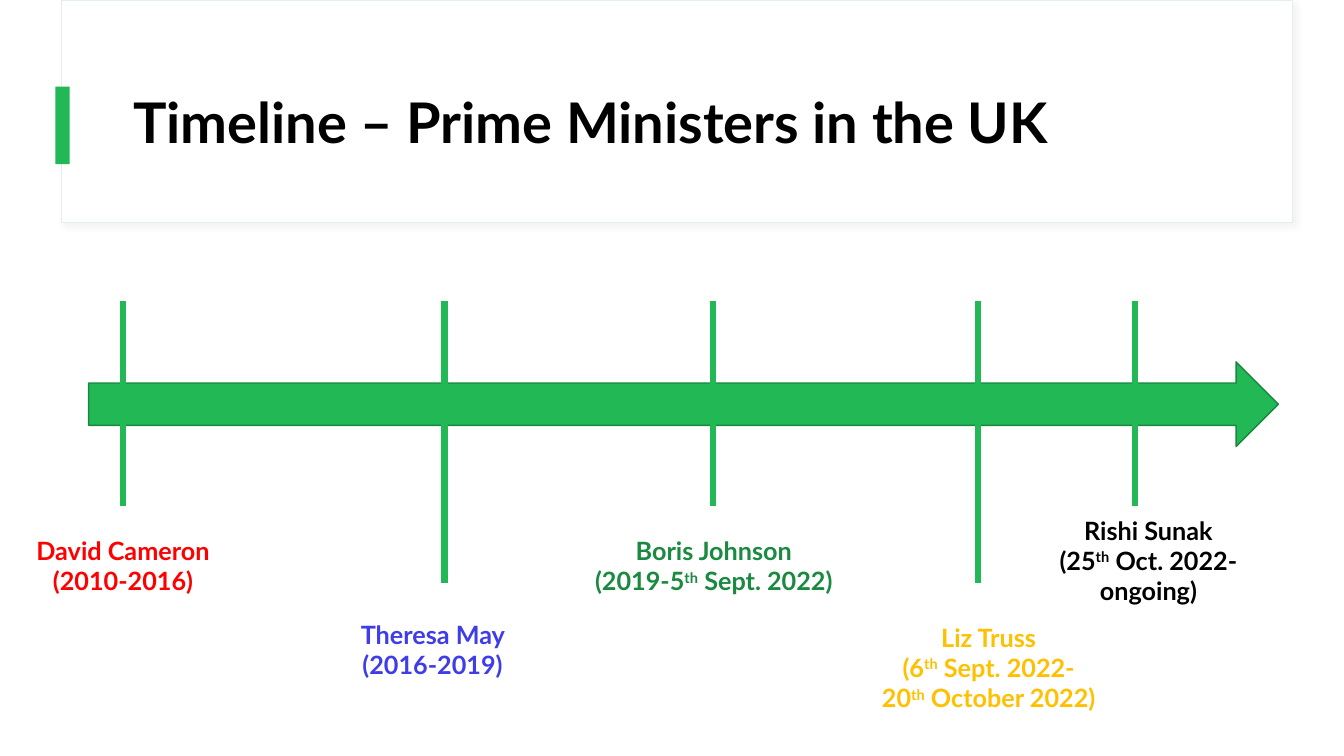
from lxml import etree
from pptx import Presentation
from pptx.dml.color import RGBColor
from pptx.enum.shapes import MSO_CONNECTOR, MSO_SHAPE
from pptx.enum.text import MSO_ANCHOR, MSO_AUTO_SIZE, PP_ALIGN
from pptx.oxml import parse_xml
from pptx.oxml.ns import nsdecls, qn
from pptx.util import Inches, Pt

RECTANGLE = MSO_SHAPE.RECTANGLE
RIGHT_ARROW = MSO_SHAPE.RIGHT_ARROW
STRAIGHT = MSO_CONNECTOR.STRAIGHT
MIDDLE = MSO_ANCHOR.MIDDLE
TOP = MSO_ANCHOR.TOP
GROW = MSO_AUTO_SIZE.SHAPE_TO_FIT_TEXT
NO_FIT = MSO_AUTO_SIZE.NONE
LEFT = PP_ALIGN.LEFT
CENTER = PP_ALIGN.CENTER

WHITE = RGBColor(0xFF, 0xFF, 0xFF)
BLACK = RGBColor(0x00, 0x00, 0x00)
PALE = RGBColor(0xE3, 0xEF, 0xEF)
GREEN = RGBColor(0x21, 0xB8, 0x55)
ARROW_EDGE = RGBColor(0x18, 0x88, 0x3F)
RED = RGBColor(0xFF, 0x00, 0x00)
BLUE = RGBColor(0x3F, 0x3D, 0xE9)
DARK_GREEN = RGBColor(0x19, 0x8A, 0x40)
YELLOW = RGBColor(0xFF, 0xC0, 0x00)

prs = Presentation()
prs.slide_width = Inches(13.33)
prs.slide_height = Inches(7.5)
slide = prs.slides.add_slide(prs.slide_layouts[5])
shapes = slide.shapes


def add_block(kind, left, top, width, height, fill, edge=None, edge_width=1):
    block = shapes.add_shape(kind, Inches(left), Inches(top), Inches(width), Inches(height))
    block.shadow.inherit = False
    block.fill.solid()
    block.fill.fore_color.rgb = fill
    if edge is None:
        block.line.fill.background()
    else:
        block.line.color.rgb = edge
        block.line.width = Pt(edge_width)
    return block


def write_text(frame, text, size, color, align=LEFT, anchor=TOP, fit=NO_FIT, spacing=1.0):
    """Newlines split paragraphs; text between ^ marks is superscript."""
    frame.word_wrap = True
    frame.auto_size = fit
    frame.vertical_anchor = anchor
    for row, line in enumerate(text.split("\n")):
        paragraph = frame.paragraphs[0] if row == 0 else frame.add_paragraph()
        paragraph.alignment = align
        paragraph.line_spacing = spacing
        for part, words in enumerate(line.split("^")):
            run = paragraph.add_run()
            run.text = words
            run.font.name = "Lato"
            run.font.size = Pt(size)
            run.font.bold = True
            run.font.color.rgb = color
            if part % 2:
                run.font._element.set("baseline", "30000")


# Title panel with a soft shadow, and its green accent bar
panel = add_block(RECTANGLE, 0.61, 0, 12.21, 2.21, WHITE, PALE, 0.75)
panel_effects = panel.element.spPr.find(qn("a:effectLst"))
panel_effects.append(parse_xml(
    f'<a:outerShdw {nsdecls("a")} blurRad="{Pt(4)}" dist="{Pt(3)}" dir="2700000">'
    '<a:srgbClr val="D9D9D9"><a:alpha val="30000"/></a:srgbClr></a:outerShdw>'))
add_block(RECTANGLE, 0.55, 0.86, 0.14, 0.77, GREEN)

# Title, brought in front of its panel
title = shapes.title
title.left, title.top = Inches(1.22), Inches(0.6)
title.width, title.height = Inches(11.12), Inches(1.29)
write_text(title.text_frame, "Timeline – Prime Ministers in the UK", 40, BLACK,
           anchor=MIDDLE, spacing=0.9)
title.element.getparent().append(title.element)

# Time arrow
add_block(RIGHT_ARROW, 0.88, 3.59, 11.8, 0.84, GREEN, ARROW_EDGE)

# Prime ministers: marker x, marker end, label box, colour, label
ministers = [
    (1.22, 5.02, (0.11, 5.26, 2.22, 0.71), RED, "David Cameron (2010-2016)"),
    (4.41, 5.78, (3.18, 6.09, 2.22, 0.71), BLUE, "Theresa May (2016-2019)"),
    (7.07, 5.02, (5.4, 5.26, 3.36, 0.71), DARK_GREEN,
     "Boris Johnson\n(2019-5^th^ Sept. 2022)"),
    (9.7, 5.78, (7.43, 6.12, 4.75, 1.01), YELLOW,
     "Liz Truss\n(6^th^ Sept. 2022-\n20^th^ October 2022)"),
    (11.26, 5.02, (10.28, 5.06, 2.22, 1.01), BLACK,
     "Rishi Sunak\n(25^th^ Oct. 2022-ongoing)"),
]
for x, marker_end, label_box, color, label in ministers:
    marker = shapes.add_connector(STRAIGHT, Inches(x), Inches(2.99), Inches(x), Inches(marker_end))
    marker.line.color.rgb = GREEN
    marker.line.width = Pt(4.5)
    etree.SubElement(marker.element.spPr, qn("a:effectLst"))
    caption = shapes.add_textbox(*(Inches(length) for length in label_box))
    write_text(caption.text_frame, label, 18, color, align=CENTER, fit=GROW)

prs.save("out.pptx")
